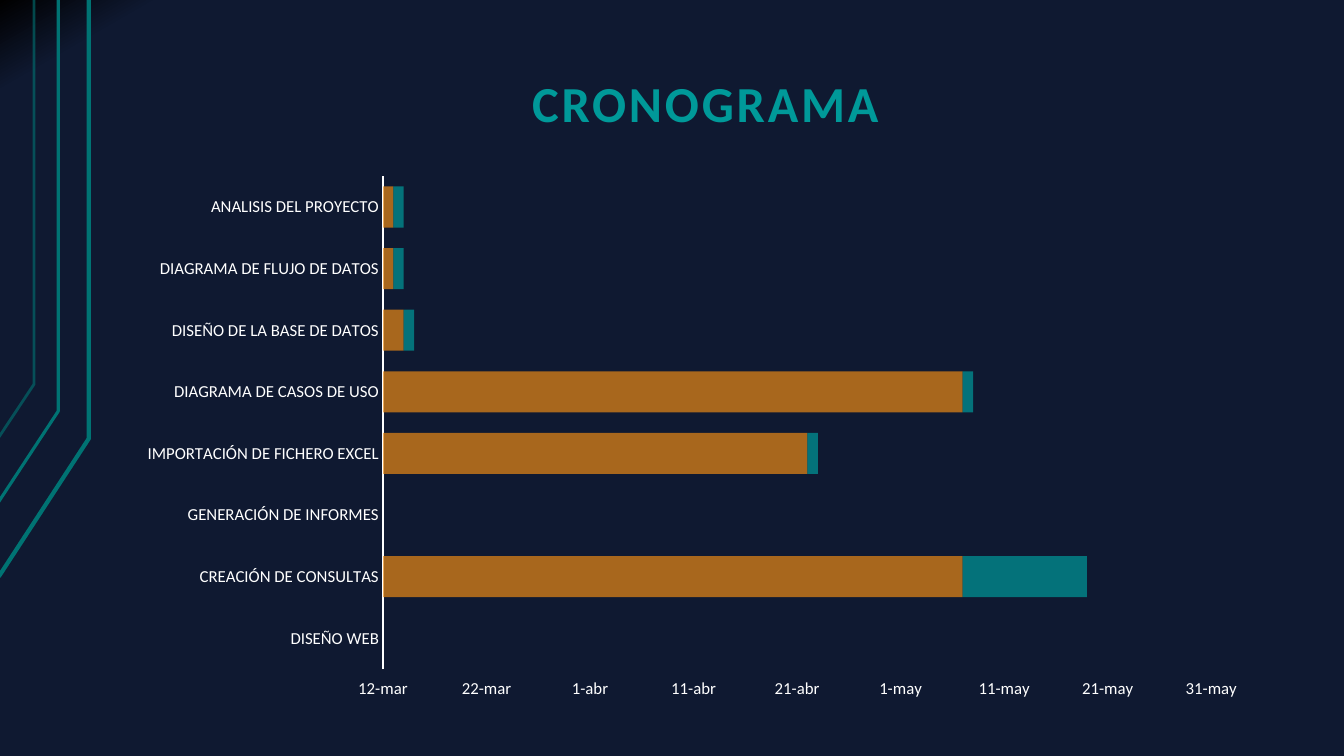
import lxml.etree
import pptx
import pptx.chart.data
import pptx.dml.color
import pptx.enum.chart
import pptx.enum.text
import pptx.oxml
import pptx.oxml.ns
import pptx.util

Cm, Pt = pptx.util.Cm, pptx.util.Pt
qn = pptx.oxml.ns.qn

COLORS = {
    "black": "000000",
    "navy": "0F1931",
    "line": "007373",
    "teal": "009999",
    "orange": "E98915",
    "white": "FFFFFF",
}
FONT = "Calibri"

# Date serials: the axis runs from 12-mar to 4-jun
START, END, STEP = 43171, 43255, 10

# Task, start date, days
TASKS = [
    ("ANALISIS DEL PROYECTO", 43172, 1),
    ("DIAGRAMA DE FLUJO DE DATOS", 43172, 1),
    ("DISEÑO DE LA BASE DE DATOS", 43173, 1),
    ("DIAGRAMA DE CASOS DE USO", 43227, 1),
    ("IMPORTACIÓN DE FICHERO EXCEL", 43212, 1),
    ("GENERACIÓN DE INFORMES", None, 0),
    ("CREACIÓN DE CONSULTAS", 43227, 12),
    ("DISEÑO WEB", None, 0),
]

# Points in cm, line width in points, opacity in percent
CORNER_LINES = [
    ([(-0.03, 14.53), (2.24, 11.05), (2.24, 0)], 3, 100),
    ([(-0.05, 12.67), (1.47, 10.36), (1.47, 0)], 2.25, 100),
    ([(-0.03, 11.02), (0.86, 9.68), (0.86, 0)], 2, 60),
]


def rgb(name):
    return pptx.dml.color.RGBColor.from_string(COLORS[name])


def apply(obj, values):
    for name, value in values.items():
        setattr(obj, name, value)


def set_font(font, size, color, bold=False):
    apply(font, {"name": FONT, "size": Pt(size), "bold": bold})
    font.color.rgb = rgb(color)


def set_opacity(element, percent):
    for clr in element.iter(qn("a:srgbClr")):
        lxml.etree.SubElement(clr, qn("a:alpha")).set("val", str(percent * 1000))


def set_background(s):
    fill = s.background.fill
    fill.gradient()
    fill.gradient_angle = 300
    for stop, (color, position) in zip(fill.gradient_stops, [("black", 0), ("navy", 0.06)]):
        stop.color.rgb = rgb(color)
        stop.position = position


def add_corner_line(s, points, width, opacity):
    start, *rest = [(Cm(x), Cm(y)) for x, y in points]
    builder = s.shapes.build_freeform(*start)
    builder.add_line_segments(rest, close=False)
    sp = builder.convert_to_shape()
    sp.shadow.inherit = False
    sp.fill.background()
    sp.line.color.rgb = rgb("line")
    sp.line.width = Pt(width)
    if opacity < 100:
        set_opacity(sp.element, opacity)


def add_title(s, text):
    sp = s.shapes.add_textbox(Cm(3.39), Cm(0.77), Cm(28.78), Cm(2.77))
    tf = sp.text_frame
    apply(tf, {
        "word_wrap": True,
        "vertical_anchor": pptx.enum.text.MSO_ANCHOR.BOTTOM,
        "margin_left": Cm(0.33), "margin_right": Cm(0.33),
        "margin_top": Cm(0.18), "margin_bottom": Cm(0.18),
    })
    p = tf.paragraphs[0]
    apply(p, {"alignment": pptx.enum.text.PP_ALIGN.CENTER, "line_spacing": 0.9})
    r = p.add_run()
    r.text = text
    set_font(r.font, 36, "teal", bold=True)
    for props in sp.element.iter(qn("a:rPr")):
        props.set("spc", "200")


def set_plot_area(chart, x, y, w, h):
    area = next(chart.element.iter(qn("c:plotArea")))
    for old in area.findall(qn("c:layout")):
        area.remove(old)
    layout = lxml.etree.Element(qn("c:layout"))
    manual = lxml.etree.SubElement(layout, qn("c:manualLayout"))
    values = {"layoutTarget": "inner", "xMode": "edge", "yMode": "edge",
              "x": x, "y": y, "w": w, "h": h}
    for name, value in values.items():
        lxml.etree.SubElement(manual, qn("c:" + name)).set("val", str(value))
    area.insert(0, layout)


def add_gantt(s):
    enums = pptx.enum.chart
    names, starts, days = zip(*TASKS)
    data = pptx.chart.data.CategoryChartData()
    data.categories = names
    data.add_series("Series 1", starts)
    data.add_series("Series 2", days)
    chart = s.shapes.add_chart(enums.XL_CHART_TYPE.BAR_STACKED, Cm(3.12), Cm(4.17),
                               Cm(29.03), Cm(13.56), data).chart
    apply(chart, {"has_legend": False, "has_title": False})
    set_font(chart.font, 10, "white")
    set_plot_area(chart, 0.225, 0.02, 0.755, 0.916)

    # Bars
    plot = chart.plots[0]
    apply(plot, {"gap_width": 50, "overlap": 100, "vary_by_categories": False})
    for series, color in zip(plot.series, ["orange", "teal"]):
        series.format.fill.solid()
        series.format.fill.fore_color.rgb = rgb(color)
    for element in chart.element.iter(qn("c:ser")):
        set_opacity(element, 70)

    # Axes
    tasks, dates = chart.category_axis, chart.value_axis
    for axis in (tasks, dates):
        apply(axis, {"has_major_gridlines": False,
                     "major_tick_mark": enums.XL_TICK_MARK.NONE,
                     "minor_tick_mark": enums.XL_TICK_MARK.NONE})
        set_font(axis.tick_labels.font, 12, "white")
    apply(tasks, {"reverse_order": True, "crosses": enums.XL_AXIS_CROSSES.MAXIMUM})
    tasks.format.line.color.rgb = rgb("white")
    tasks.format.line.width = Pt(0.75)
    apply(dates, {"minimum_scale": START, "maximum_scale": END, "major_unit": STEP,
                  "crosses": enums.XL_AXIS_CROSSES.MINIMUM,
                  "tick_label_position": enums.XL_TICK_LABEL_POSITION.HIGH})
    apply(dates.tick_labels, {"number_format": r"[$-C0A]d\-mmm;@",
                              "number_format_is_linked": False})
    dates.format.line.fill.background()


def main():
    prs = pptx.Presentation()
    apply(prs, {"slide_width": Cm(33.87), "slide_height": Cm(19.05)})
    s = prs.slides.add_slide(prs.slide_layouts[6])
    set_background(s)
    for points, width, opacity in CORNER_LINES:
        add_corner_line(s, points, width, opacity)
    add_title(s, "CRONOGRAMA")
    add_gantt(s)
    prs.save("out.pptx")


if __name__ == "__main__":
    main()
